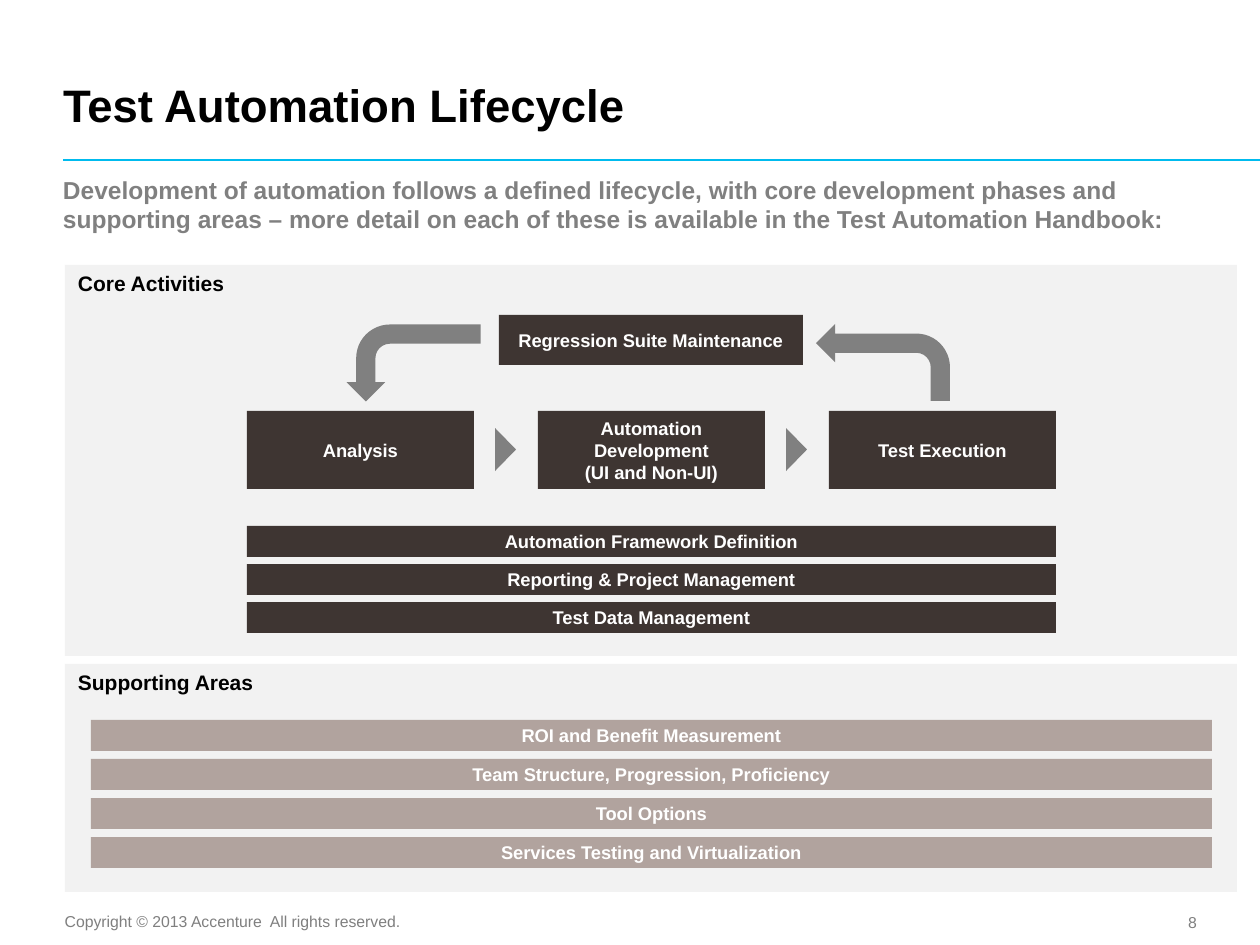
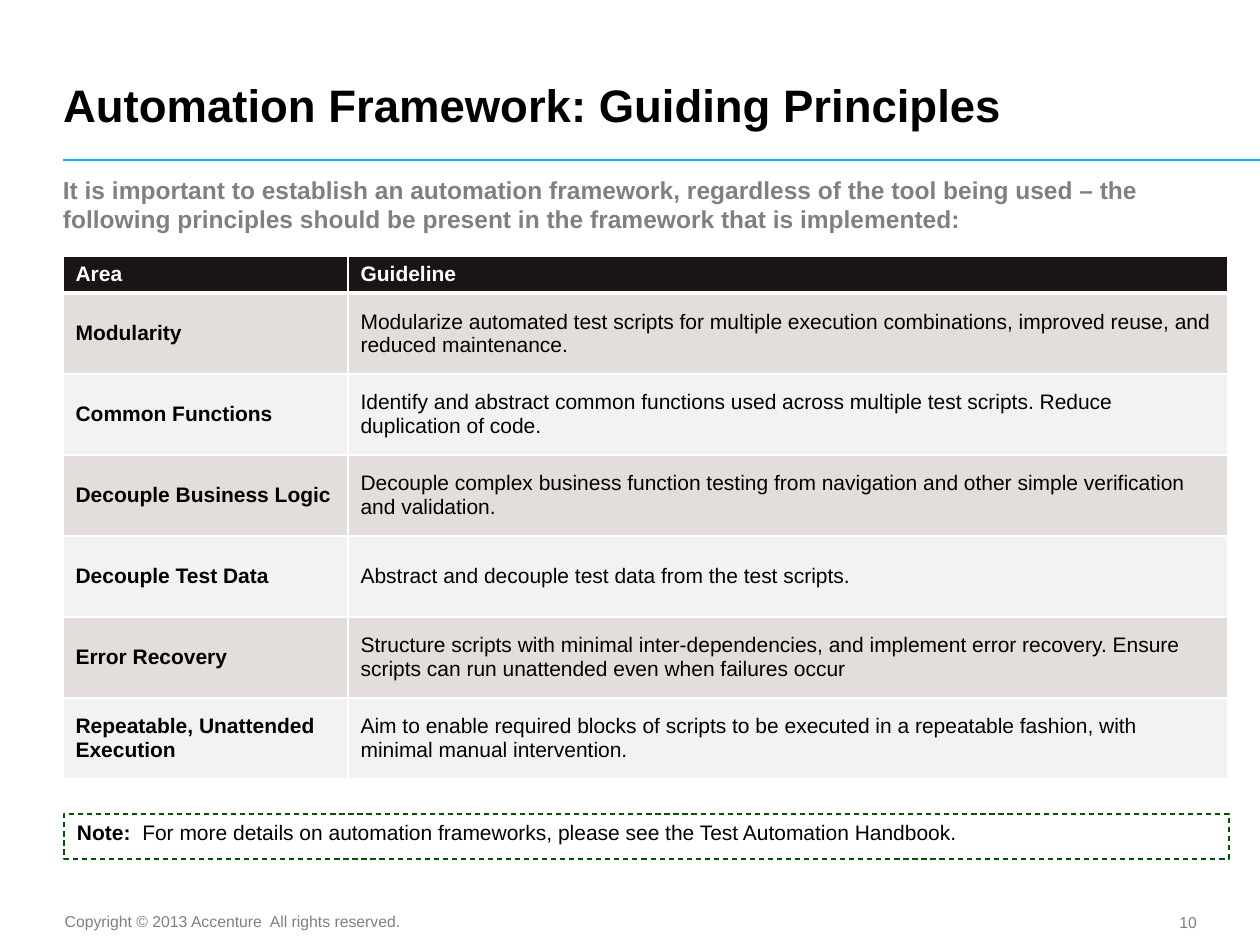
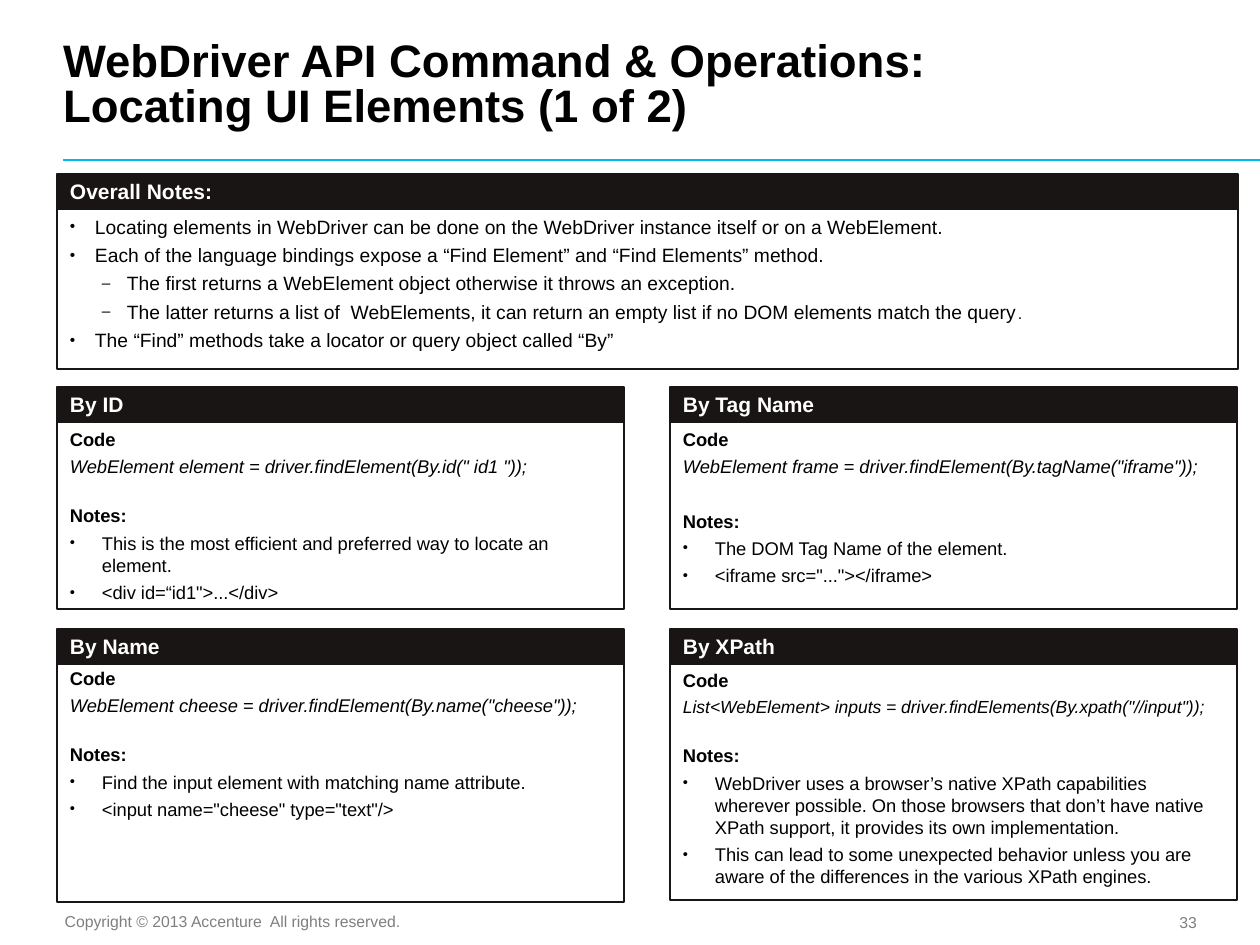
from dataclasses import dataclass, replace

from lxml import etree
from pptx import Presentation
from pptx.dml.color import RGBColor
from pptx.enum.dml import MSO_LINE
from pptx.enum.shapes import MSO_CONNECTOR, MSO_SHAPE
from pptx.enum.text import MSO_ANCHOR, MSO_AUTO_SIZE, PP_ALIGN
from pptx.oxml.ns import qn
from pptx.util import Pt

RECTANGLE = MSO_SHAPE.RECTANGLE
PENTAGON = MSO_SHAPE.PENTAGON
BENT_ARROW = MSO_SHAPE.BENT_ARROW
STRAIGHT = MSO_CONNECTOR.STRAIGHT
DASH = MSO_LINE.DASH
TOP, MIDDLE, BOTTOM = MSO_ANCHOR.TOP, MSO_ANCHOR.MIDDLE, MSO_ANCHOR.BOTTOM
LEFT, CENTER, RIGHT = PP_ALIGN.LEFT, PP_ALIGN.CENTER, PP_ALIGN.RIGHT
NO_AUTOFIT = MSO_AUTO_SIZE.NONE
TITLE_ONLY = 5

SCALE = 914400 / 126
PAGE_WIDTH, PAGE_HEIGHT = 1260, 945
INSETS = (13, 6, 13, 6)


def px(length):
    return round(length * SCALE)


def rgb(color):
    return RGBColor.from_string(color)


@dataclass(frozen=True)
class TextStyle:
    size: float
    color: str
    bold: bool = False
    italic: bool = False


@dataclass(frozen=True)
class Theme:
    font: str = "Arial"
    white: str = "FFFFFF"
    gray: str = "808080"
    rule: str = "00BBEE"
    panel: str = "F2F2F2"
    band: str = "E3DEDC"
    core: str = "3E3532"
    support: str = "B1A39E"
    header: str = "191514"
    note: str = "005200"
    title: TextStyle = TextStyle(26, "000000", True)
    subtitle: TextStyle = TextStyle(14, "808080", True)
    heading: TextStyle = TextStyle(12, "000000", True)
    body: TextStyle = TextStyle(12, "000000")
    inverse: TextStyle = TextStyle(12, "FFFFFF", True)
    block: TextStyle = TextStyle(10.5, "FFFFFF", True)
    remark: TextStyle = TextStyle(11, "000000")
    detail: TextStyle = TextStyle(10.5, "000000")
    label: TextStyle = TextStyle(10.5, "000000", True)
    code: TextStyle = TextStyle(10.5, "000000", False, True)
    footer: TextStyle = TextStyle(9, "7F7F7F")


@dataclass(frozen=True)
class Para:
    spans: tuple
    style: TextStyle
    before: float = 0
    bullet: str = ""
    indent: int = 0
    hanging: int = 0


THEME = Theme()


def text(words, style, **options):
    return Para(((words, style),), style, **options)


class SlideBuilder:
    def __init__(self, theme):
        self.theme = theme
        self.deck = Presentation()
        self.deck.slide_width = px(PAGE_WIDTH)
        self.deck.slide_height = px(PAGE_HEIGHT)
        self.page = None

    def start_page(self, title, number):
        theme = self.theme
        self.page = self.deck.slides.add_slide(self.deck.slide_layouts[TITLE_ONLY])
        box = self.page.shapes.title
        box.left, box.top, box.width, box.height = map(px, (63, 24, 1130, 108))
        self.set_text(box.text_frame, [text(title, theme.title)], LEFT, BOTTOM, (0, 0, 0, 0))
        box.text_frame.paragraphs[0].line_spacing = Pt(26)
        self.rule(63, 160, PAGE_WIDTH)
        self.text_box(62, 906, 354, 32, "Copyright © 2013 Accenture  All rights reserved.",
                      theme.footer, CENTER, TOP, (0, 6, 13, 6))
        self.text_box(1123, 905, 74, 34, str(number), theme.footer, RIGHT, MIDDLE)

    def subtitle(self, words):
        self.text_box(63, 175, 1197, 72, words, self.theme.subtitle, LEFT, TOP, (0, 0, 13, 0))

    def set_text(self, frame, paras, align=LEFT, anchor=TOP, insets=INSETS):
        frame.word_wrap = True
        frame.auto_size = NO_AUTOFIT
        frame.vertical_anchor = anchor
        (frame.margin_left, frame.margin_top,
         frame.margin_right, frame.margin_bottom) = map(px, insets)
        for index, para in enumerate(paras):
            paragraph = frame.paragraphs[0] if index == 0 else frame.add_paragraph()
            self.fill_paragraph(paragraph, para, align, index > 0)

    def fill_paragraph(self, paragraph, para, align, spaced):
        if para.bullet:
            self.add_bullet(paragraph, para)
        paragraph.alignment = align
        if spaced and para.before:
            paragraph.space_before = Pt(para.before)
        self.set_font(paragraph.font, para.style)
        for words, style in para.spans:
            if "\v" in words:
                paragraph.text = words
                continue
            span = paragraph.add_run()
            span.text = words
            if style != para.style:
                self.set_font(span.font, style)

    def set_font(self, font, style):
        font.name = self.theme.font
        font.size = Pt(style.size)
        font.bold = style.bold
        font.italic = style.italic
        font.color.rgb = rgb(style.color)

    def add_bullet(self, paragraph, para):
        properties = paragraph._p.get_or_add_pPr()
        properties.set("marL", str(px(para.indent)))
        properties.set("indent", str(-px(para.hanging)))
        etree.SubElement(properties, qn("a:buSzPct"), val="80000")
        etree.SubElement(properties, qn("a:buFont"), typeface=self.theme.font)
        etree.SubElement(properties, qn("a:buChar"), char=para.bullet)

    def text_box(self, left, top, width, height, words, style, align=LEFT,
                 anchor=TOP, insets=(0, 0, 0, 0)):
        box = self.page.shapes.add_textbox(*map(px, (left, top, width, height)))
        self.set_text(box.text_frame, [text(words, style)], align, anchor, insets)

    def rule(self, left, top, right):
        line = self.page.shapes.add_connector(STRAIGHT, *map(px, (left, top, right, top)))
        line.line.color.rgb = rgb(self.theme.rule)
        line.line.width = Pt(1)
        etree.SubElement(line._element.spPr, qn("a:effectLst"))

    def shape(self, kind, left, top, width, height, fill=None, outline=None, weight=1):
        shape = self.page.shapes.add_shape(kind, *map(px, (left, top, width, height)))
        shape.shadow.inherit = False
        if fill:
            shape.fill.solid()
            shape.fill.fore_color.rgb = rgb(fill)
        else:
            shape.fill.background()
        if outline:
            shape.line.color.rgb = rgb(outline)
            shape.line.width = Pt(weight)
        else:
            shape.line.fill.background()
        return shape

    def area(self, top, height, heading):
        box = self.shape(RECTANGLE, 65, top, 1172, height, self.theme.panel)
        self.set_text(box.text_frame, [text(heading, self.theme.heading)])

    def block(self, left, top, width, height, lines, fill):
        box = self.shape(RECTANGLE, left, top, width, height, fill)
        paras = [text(line, self.theme.block) for line in lines]
        self.set_text(box.text_frame, paras, CENTER, MIDDLE)

    def bars(self, left, top, width, step, labels, fill):
        for index, label in enumerate(labels):
            self.block(left, top + index * step, width, 31, [label], fill)

    def bent_arrow(self, left, top, width, height, rotation=0):
        arrow = self.shape(BENT_ARROW, left, top, width, height, self.theme.gray)
        arrow.rotation = rotation
        arrow._element.spPr.find(qn("a:xfrm")).set("flipH", "1")

    def card(self, left, top, width, body_top, bottom, heading, paras):
        theme = self.theme
        body = self.shape(RECTANGLE, left, body_top, width, bottom - body_top,
                          theme.white, theme.header)
        self.set_text(body.text_frame, paras)
        band = self.shape(RECTANGLE, left, top, width, 35, theme.header, theme.header)
        self.set_text(band.text_frame, [text(heading, theme.inverse)], insets=(13, 5, 13, 5))

    def table(self, left, top, widths, heights, rows):
        theme = self.theme
        frame = self.page.shapes.add_table(
            len(rows), len(widths), *map(px, (left, top, sum(widths), sum(heights))))
        table = frame.table
        for column, width in zip(table.columns, widths):
            column.width = px(width)
        for index, (row, height, values) in enumerate(zip(table.rows, heights, rows)):
            row.height = px(height)
            if index == 0:
                fill, styles = theme.header, (theme.inverse, theme.inverse)
            else:
                fill = theme.band if index % 2 else theme.panel
                styles = (theme.heading, theme.body)
            for cell, words, style in zip(row.cells, values, styles):
                cell.vertical_anchor = MIDDLE if index else TOP
                self.fill_paragraph(cell.text_frame.paragraphs[0], text(words, style), LEFT, False)
                self.cell_borders(cell, 1 if index != 1 else 3, 1 if index else 3)
                cell.fill.solid()
                cell.fill.fore_color.rgb = rgb(fill)

    def cell_borders(self, cell, top_weight, bottom_weight):
        properties = cell._tc.get_or_add_tcPr()
        weights = {"a:lnL": 1, "a:lnR": 1, "a:lnT": top_weight, "a:lnB": bottom_weight}
        for tag, weight in weights.items():
            line = etree.SubElement(properties, qn(tag), w=str(Pt(weight)))
            fill = etree.SubElement(line, qn("a:solidFill"))
            etree.SubElement(fill, qn("a:srgbClr"), val=self.theme.white)


def build_lifecycle(builder):
    theme = builder.theme
    builder.start_page("Test Automation Lifecycle", 8)
    builder.subtitle("Development of automation follows a defined lifecycle, with core development "
                     "phases and supporting areas – more detail on each of these is available in "
                     "the Test Automation Handbook:")
    builder.area(265, 391, "Core Activities")
    builder.area(664, 228, "Supporting Areas")
    builder.block(499, 315, 304, 50, ["Regression Suite Maintenance"], theme.core)
    phases = (["Analysis"], ["Automation Development", "(UI and Non-UI)"], ["Test Execution"])
    phase_step = 291
    for index, lines in enumerate(phases):
        left = 247 + index * phase_step
        builder.block(left, 411, 227, 78, lines, theme.core)
        if index:
            pointer = builder.shape(PENTAGON, left - 43, 428, 21, 43, theme.gray)
            pointer.adjustments[0] = 1
    builder.bent_arrow(816, 324, 134, 77)
    builder.bent_arrow(375, 296, 77, 134, 270)
    builder.bars(247, 526, 809, 38, (
        "Automation Framework Definition",
        "Reporting & Project Management",
        "Test Data Management",
    ), theme.core)
    builder.bars(91, 720, 1121, 39, (
        "ROI and Benefit Measurement",
        "Team Structure, Progression, Proficiency",
        "Tool Options",
        "Services Testing and Virtualization",
    ), theme.support)


def build_principles(builder):
    theme = builder.theme
    builder.start_page("Automation Framework: Guiding Principles", 10)
    builder.subtitle("It is important to establish an automation framework, regardless of the tool "
                     "being used – the following principles should be present in the framework "
                     "that is implemented:")
    rows = (
        ("Area", "Guideline"),
        ("Modularity", "Modularize automated test scripts for multiple execution combinations, "
                       "improved reuse, and reduced maintenance."),
        ("Common Functions", "Identify and abstract common functions used across multiple test "
                             "scripts. Reduce duplication of code."),
        ("Decouple Business Logic", "Decouple complex business function testing from navigation "
                                    "and other simple verification and validation."),
        ("Decouple Test Data", "Abstract and decouple test data from the test scripts."),
        ("Error Recovery", "Structure scripts with minimal inter-dependencies, and implement error "
                           "recovery. Ensure scripts can run unattended even when failures occur"),
        ("Repeatable, Unattended Execution", "Aim to enable required blocks of scripts to be "
                                             "executed in a repeatable fashion, with minimal "
                                             "manual intervention."),
    )
    builder.table(63, 256, (285, 880), [37] + [81] * 6, rows)
    note = builder.shape(RECTANGLE, 64, 814, 1165, 45, outline=theme.note, weight=0.75)
    note.line.dash_style = DASH
    spans = (("Note: ", theme.heading),
             (" For more details on automation frameworks, please see the Test Automation Handbook.",
              theme.body))
    builder.set_text(note.text_frame, [Para(spans, theme.body)])


def locator_paras(theme, code, notes, code_size=10.5, gap=15.5):
    code_style = replace(theme.code, size=code_size)
    return [
        text("Code", theme.label),
        text(code, code_style, before=3),
        text("Notes:", theme.label, before=gap),
    ] + [text(note, theme.detail, before=3, bullet="•", indent=32, hanging=32) for note in notes]


def build_locators(builder):
    theme = builder.theme
    builder.start_page("WebDriver API Command & Operations:\vLocating UI Elements (1 of 2)", 33)
    main_level = dict(before=3, bullet="•", indent=25, hanging=25)
    sub_level = dict(before=3, bullet="–", indent=57, hanging=25)
    query_spans = (("The latter returns a list of  WebElements, it can return an empty list if no "
                    "DOM elements match the query", theme.remark),
                   (".", replace(theme.remark, size=9)))
    builder.card(57, 174, 1181, 209, 369, "Overall Notes:", [
        text("Locating elements in WebDriver can be done on the WebDriver instance itself or on a "
             "WebElement.", theme.remark, **main_level),
        text("Each of the language bindings expose a “Find Element” and “Find Elements” method.",
             theme.remark, **main_level),
        text("The first returns a WebElement object otherwise it throws an exception.",
             theme.remark, **sub_level),
        Para(query_spans, theme.remark, **sub_level),
        text("The “Find” methods take a locator or query object called “By”",
             theme.remark, **main_level),
    ])
    left, right, width = 57, 670, 567
    upper, lower = 387, 629
    builder.card(left, upper, width, 422, 609, "By ID", locator_paras(
        theme, 'WebElement element = driver.findElement(By.id(" id1 "));',
        ("This is the most efficient and preferred way to locate an element.",
         '<div id=“id1">...</div>')))
    builder.card(right, upper, width, 422, 609, "By Tag Name", locator_paras(
        theme, 'WebElement frame = driver.findElement(By.tagName("iframe"));',
        ("The DOM Tag Name of the element.", '<iframe src="..."></iframe>'), gap=18.5))
    builder.card(left, lower, width, 661, 902, "By Name", locator_paras(
        theme, 'WebElement cheese = driver.findElement(By.name("cheese"));',
        ("Find the input element with matching name attribute.",
         '<input name="cheese" type="text"/>')))
    builder.card(right, lower, width, 663, 900, "By XPath", locator_paras(
        theme, 'List<WebElement> inputs = driver.findElements(By.xpath("//input"));',
        ("WebDriver uses a browser’s native XPath capabilities wherever possible. On those "
         "browsers that don’t have native XPath support, it provides its own implementation.",
         "This can lead to some unexpected behavior unless you are aware of the differences in "
         "the various XPath engines."), code_size=10))


def main():
    builder = SlideBuilder(THEME)
    build_lifecycle(builder)
    build_principles(builder)
    build_locators(builder)
    builder.deck.save("out.pptx")


if __name__ == "__main__":
    main()
